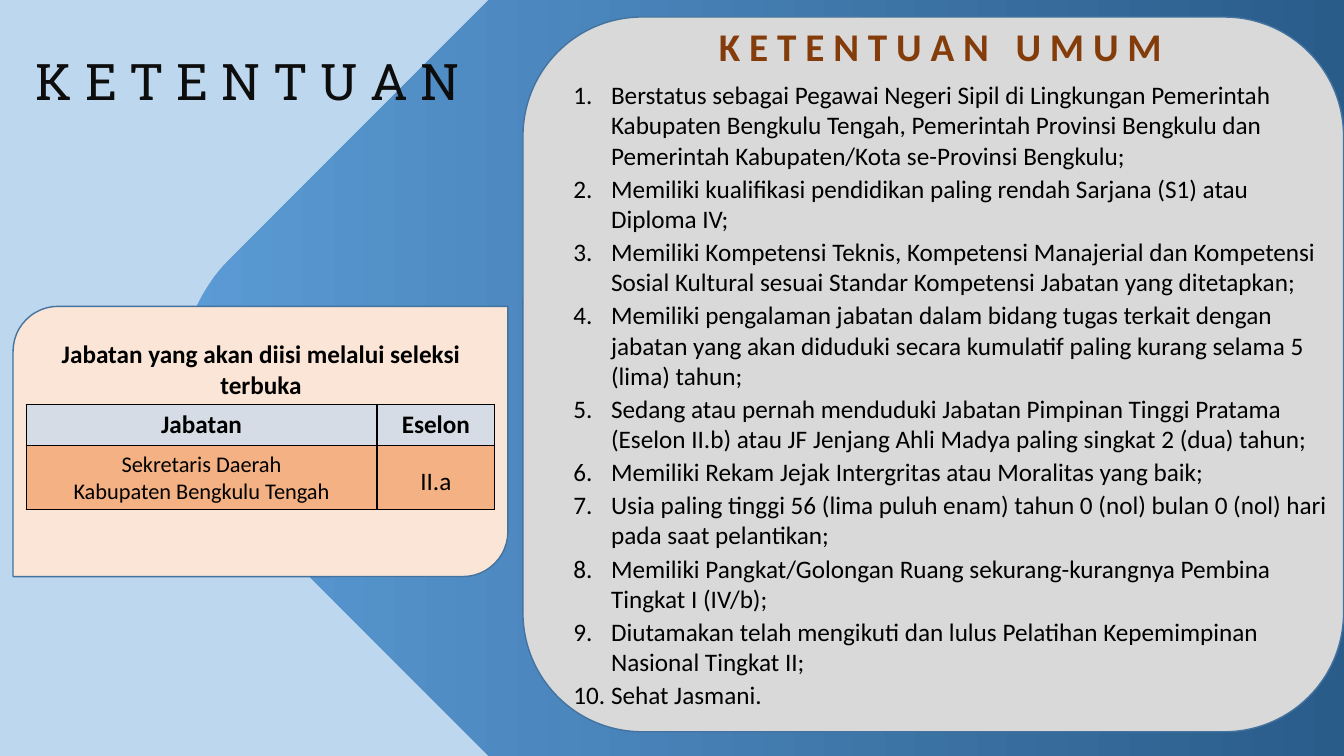
import pptx
import pptx.dml.color
import pptx.enum.shapes
import pptx.enum.text
import pptx.oxml
import pptx.oxml.ns
import pptx.util

Cm = pptx.util.Cm
Pt = pptx.util.Pt
SHAPE = pptx.enum.shapes.MSO_SHAPE
ALIGN = pptx.enum.text.PP_ALIGN
ANCHOR = pptx.enum.text.MSO_ANCHOR
WIDTH, HEIGHT = 33.87, 19.05
BLACK = "000000"


def colour(code):
    """Turn a hex string into a colour."""
    return pptx.dml.color.RGBColor.from_string(code)


def lengths(*values):
    """Turn numbers in centimetres into lengths."""
    return [Cm(value) for value in values]


def curve(start, first, second, end, steps=24):
    """Return points along a cubic curve, without its start."""
    points = []
    for step in range(1, steps + 1):
        t = step / steps
        weights = ((1 - t) ** 3, 3 * t * (1 - t) ** 2, 3 * t * t * (1 - t), t ** 3)
        points.append(tuple(
            sum(weight * value for weight, value in zip(weights, axis))
            for axis in zip(start, first, second, end)))
    return points


class SlideBuilder:
    """Holds the style and the current slide."""

    font = "Calibri"
    outline = "43739E"

    def __init__(self, page, background):
        """Keep the slide and paint its background."""
        self.page = page
        page.background.fill.solid()
        page.background.fill.fore_color.rgb = colour(background)

    def set_lines(self, frame, lines, size, code=BLACK, bold=False,
                  align=ALIGN.CENTER, font=None):
        """Fill a text frame with one paragraph per line."""
        frame.text = "\n".join(lines)
        for para in frame.paragraphs:
            para.alignment = align
            para.font.name = font or self.font
            para.font.size = Pt(size)
            para.font.bold = bold
            para.font.color.rgb = colour(code)
        return frame.paragraphs

    def title(self, place, text, size, code, font):
        """Place the title in front of the shapes drawn so far."""
        box = self.page.shapes.title
        box.left, box.top, box.width, box.height = lengths(*place)
        box.text_frame.vertical_anchor = ANCHOR.TOP
        self.set_lines(box.text_frame, [text], size, code, font=font)
        box._element.getparent().append(box._element)

    def text(self, place, lines, size, **style):
        """Add a wrapping text box."""
        box = self.page.shapes.add_textbox(*lengths(*place))
        box.text_frame.word_wrap = True
        box.text_frame.auto_size = pptx.enum.text.MSO_AUTO_SIZE.SHAPE_TO_FIT_TEXT
        return self.set_lines(box.text_frame, lines, size, **style)

    def numbered(self, place, lines, size):
        """Add a numbered list with a hanging indent."""
        for para in self.text(place, lines, size, align=ALIGN.LEFT):
            para.space_before = Pt(2)
            properties = para._p.get_or_add_pPr()
            properties.set("marL", str(Cm(1.21)))
            properties.set("indent", str(Cm(-0.95)))
            number = pptx.oxml.parse_xml(
                f'<a:buAutoNum {pptx.oxml.ns.nsdecls("a")} type="arabicPeriod"/>')
            properties.insert_element_before(number, "a:defRPr")

    def panel(self, kind, place, fill):
        """Add an outlined preset shape."""
        shape = self.page.shapes.add_shape(kind, *lengths(*place))
        shape.shadow.inherit = False
        shape.fill.solid()
        shape.fill.fore_color.rgb = colour(fill)
        shape.line.color.rgb = colour(self.outline)
        shape.line.width = Pt(1)

    def gradient_area(self, points, codes):
        """Add a closed outline filled from left to right."""
        vertices = [lengths(*point) for point in points]
        builder = self.page.shapes.build_freeform(*vertices[0])
        builder.add_line_segments(vertices[1:], close=True)
        shape = builder.convert_to_shape()
        shape.shadow.inherit = False
        shape.line.fill.background()
        shape.fill.gradient()
        shape.fill.gradient_angle = 0
        for stop, code in zip(shape.fill.gradient_stops, codes):
            stop.color.rgb = colour(code)

    def table(self, left, top, widths, heights):
        """Add an unstyled table and return it."""
        frame = self.page.shapes.add_table(
            len(heights), len(widths),
            *lengths(left, top, sum(widths), sum(heights)))
        table = frame.table
        table.first_row = table.horz_banding = False
        for column, width in zip(table.columns, widths):
            column.width = Cm(width)
        for row, height in zip(table.rows, heights):
            row.height = Cm(height)
        return table

    def cell(self, cell, lines, size, fill, bold=False):
        """Letter, border and fill one table cell."""
        properties = cell._tc.get_or_add_tcPr()
        for side in ("lnL", "lnR", "lnT", "lnB"):
            properties.append(pptx.oxml.parse_xml(
                f'<a:{side} {pptx.oxml.ns.nsdecls("a")} w="{Pt(1)}"><a:solidFill>'
                f'<a:srgbClr val="{BLACK}"/></a:solidFill></a:{side}>'))
        cell.fill.solid()
        cell.fill.fore_color.rgb = colour(fill)
        return self.set_lines(cell.text_frame, lines, size, bold=bold)


REQUIREMENTS = [
    "Berstatus sebagai Pegawai Negeri Sipil di Lingkungan Pemerintah Kabupaten "
    "Bengkulu Tengah, Pemerintah Provinsi Bengkulu dan Pemerintah "
    "Kabupaten/Kota se-Provinsi Bengkulu;",
    "Memiliki kualifikasi pendidikan paling rendah Sarjana (S1) atau Diploma IV;",
    "Memiliki Kompetensi Teknis, Kompetensi Manajerial dan Kompetensi Sosial "
    "Kultural sesuai Standar Kompetensi Jabatan yang ditetapkan;",
    "Memiliki pengalaman jabatan dalam bidang tugas terkait dengan jabatan yang "
    "akan diduduki secara kumulatif paling kurang selama 5 (lima) tahun;",
    "Sedang atau pernah menduduki Jabatan Pimpinan Tinggi Pratama (Eselon II.b) "
    "atau JF Jenjang Ahli Madya paling singkat 2 (dua) tahun;",
    "Memiliki Rekam Jejak Intergritas atau Moralitas yang baik;",
    "Usia paling tinggi 56 (lima puluh enam) tahun 0 (nol) bulan 0 (nol) hari "
    "pada saat pelantikan;",
    "Memiliki Pangkat/Golongan Ruang sekurang-kurangnya Pembina Tingkat I (IV/b);",
    "Diutamakan telah mengikuti dan lulus Pelatihan Kepemimpinan Nasional "
    "Tingkat II;",
    "Sehat Jasmani.",
]

deck = pptx.Presentation()
deck.slide_width, deck.slide_height = lengths(WIDTH, HEIGHT)
slide = SlideBuilder(deck.slides.add_slide(deck.slide_layouts[5]), "BDD7EE")

lower, upper = (5.79, 12.52), (5.79, 6.53)
slide.gradient_area(
    [(12.32, 0), (WIDTH, 0), (WIDTH, HEIGHT), (12.32, HEIGHT), lower]
    + curve(lower, (4.14, 10.87), (4.14, 8.18), upper),
    ("5B9BD5", "2A5C8A"))

slide.panel(SHAPE.ROUNDED_RECTANGLE, (13.18, 0.43, 20.68, 18.01), "D9D9D9")
slide.text((14.22, 0.43, 18.95, 1.45), [" ".join("KETENTUAN UMUM")], 28,
           code="843C0B", bold=True)
slide.numbered((13.94, 1.88, 19.91, 16.28), REQUIREMENTS, 18)

slide.panel(SHAPE.ROUND_2_DIAG_RECTANGLE, (0.33, 7.72, 12.47, 6.81), "FBE5D6")
positions = slide.table(0.66, 10.19, (8.84, 2.97), (1.04, 1.6))
for index, heading in enumerate(("Jabatan", "Eselon")):
    slide.cell(positions.cell(0, index), [heading], 18, "D6DCE5", bold=True)
slide.cell(positions.cell(1, 0),
           ["Sekretaris Daerah", "Kabupaten Bengkulu Tengah"], 16, "F4B183")
echelon = slide.cell(positions.cell(1, 1), ["II.a"], 18, "F4B183")
echelon[0].line_spacing = 1.5
slide.text((0.51, 8.41, 12.14, 1.02),
           ["Jabatan yang akan diisi melalui seleksi terbuka"], 18, bold=True)

slide.title((0, 1.14, 12.5, 1.8), " ".join("KETENTUAN"), 36, "0D0D0D",
            "Roboto Slab")

deck.save("out.pptx")
